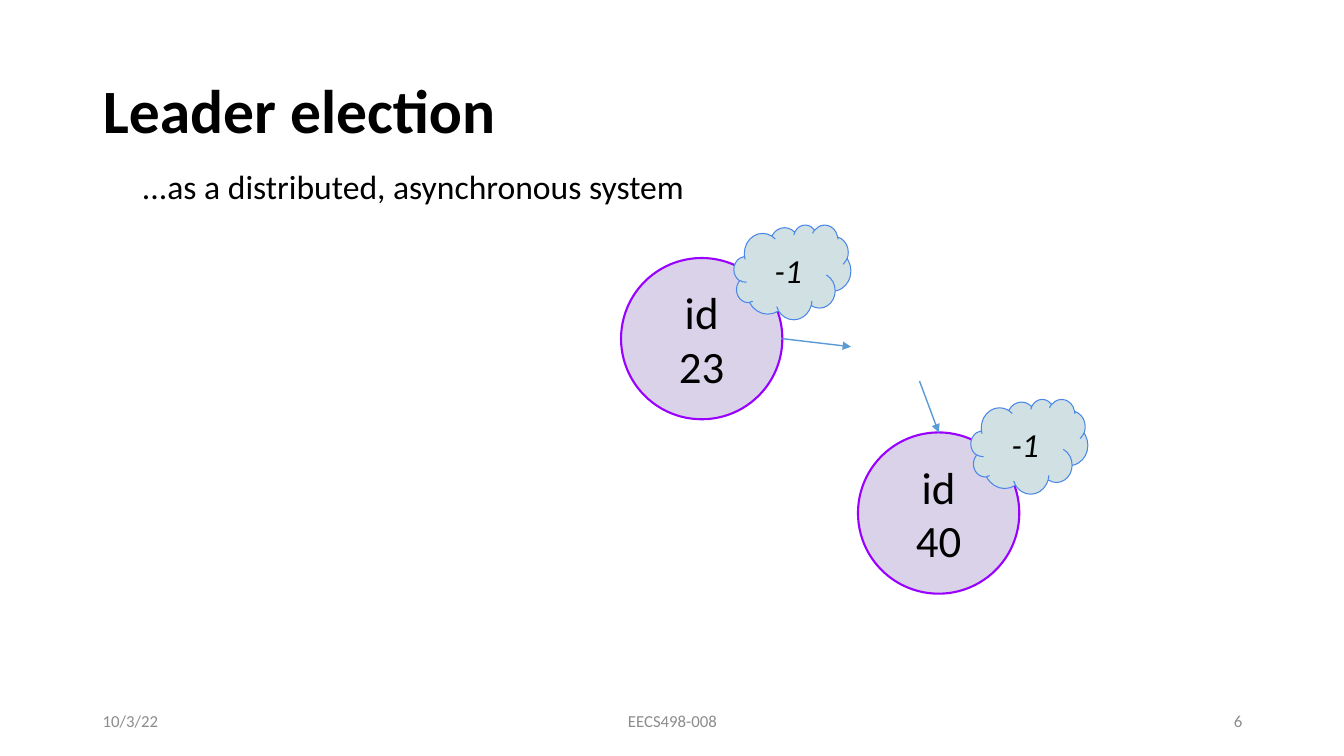
from lxml import etree
from pptx import Presentation, util as u
from pptx.dml.color import RGBColor
from pptx.enum import shapes, text
from pptx.oxml.ns import qn

ALIGN = text.PP_ALIGN
MIDDLE = text.MSO_ANCHOR.MIDDLE


def color(hue):
    """Turn a hex string into a colour."""
    return RGBColor.from_string(hue)


def write(frame, words, size, align=ALIGN.LEFT, hue="000000", bold=False,
          italic=False, anchor=MIDDLE):
    """Fill a text frame, one paragraph for each line of words."""
    frame.word_wrap = True
    frame.vertical_anchor = anchor
    frame.text = words
    for para in frame.paragraphs:
        para.alignment = align
        font = para.font
        font.name, font.size = "Calibri", u.Pt(size)
        font.bold, font.italic = bold, italic
        font.color.rgb = color(hue)


def label(slide, box, words, size, **style):
    """Add a text box."""
    area = slide.shapes.add_textbox(*map(u.Inches, box))
    write(area.text_frame, words, size, **style)


def blob(slide, kind, box, fill, line, width, words, size, italic=False):
    """Add a filled shape with centred text."""
    shape = slide.shapes.add_shape(kind, *map(u.Inches, box))
    shape.shadow.inherit = False
    shape.fill.solid()
    shape.fill.fore_color.rgb = color(fill)
    shape.line.color.rgb = color(line)
    shape.line.width = u.Pt(width)
    frame = shape.text_frame
    frame.margin_left = frame.margin_right = u.Inches(0.13)
    frame.margin_top = frame.margin_bottom = u.Inches(0.13)
    write(frame, words, size, ALIGN.CENTER, italic=italic)


def node(slide, left, top, name, state):
    """Add a process circle with its state cloud at the upper right."""
    blob(slide, shapes.MSO_SHAPE.OVAL, (left, top, 1.6, 1.6),
         "D9D2E9", "9900FF", 1.5, f"id\n{name}", 32)
    blob(slide, shapes.MSO_SHAPE.CLOUD, (left + 1.12, top - 0.33, 1.16, 0.94),
         "D0E0E3", "4A86E8", 0.75, state, 24, italic=True)


def arrow(slide, start, end):
    """Add a message arrow."""
    link = slide.shapes.add_connector(
        shapes.MSO_CONNECTOR.STRAIGHT, *map(u.Inches, start + end))
    link.line.color.rgb = color("5B9BD5")
    link.line.width = u.Pt(1)
    etree.SubElement(link.line._get_or_add_ln(), qn("a:tailEnd"), type="triangle")
    etree.SubElement(link._element.spPr, qn("a:effectLst"))


def head(slide, left, top, width, height):
    """Set the title and the subtitle below it."""
    title = slide.shapes.title
    title.left, title.top = u.Inches(left), u.Inches(top)
    title.width, title.height = u.Inches(width), u.Inches(height)
    write(title.text_frame, "Leader election", 44, bold=True)
    title.text_frame.paragraphs[0].line_spacing = 0.9
    label(slide, (left + 0.39, top + 1.2, 7.13, 0.5),
          "...as a distributed, asynchronous system", 24,
          anchor=text.MSO_ANCHOR.TOP)


def ring(slide, left, top):
    """Draw the two processes and their messages."""
    node(slide, left, top, "23", "-1")
    node(slide, left + 2.35, top + 1.73, "40", "-1")
    arrow(slide, (left + 1.6, top + 0.8), (left + 2.28, top + 0.88))
    arrow(slide, (left + 2.96, top + 1.22), (left + 3.15, top + 1.73))


def foot(slide, left, top, height):
    """Set the date, course and page number in a row."""
    parts = (("10/3/22", 3, ALIGN.LEFT), ("EECS498-008", 4.5, ALIGN.CENTER),
             ("6", 3, ALIGN.RIGHT))
    for words, width, align in parts:
        label(slide, (left, top, width, height), words, 12,
              align=align, hue="8C8C8C")
        left += width + 0.5


def main():
    """Build and save the slide."""
    deck = Presentation()
    deck.slide_width, deck.slide_height = u.Inches(13.33), u.Inches(7.5)
    slide = deck.slides.add_slide(deck.slide_layouts[5])
    head(slide, 0.92, 0.4, 11.5, 1.45)
    ring(slide, 6.16, 2.56)
    foot(slide, 0.92, 6.95, 0.4)
    deck.save("out.pptx")


main()
